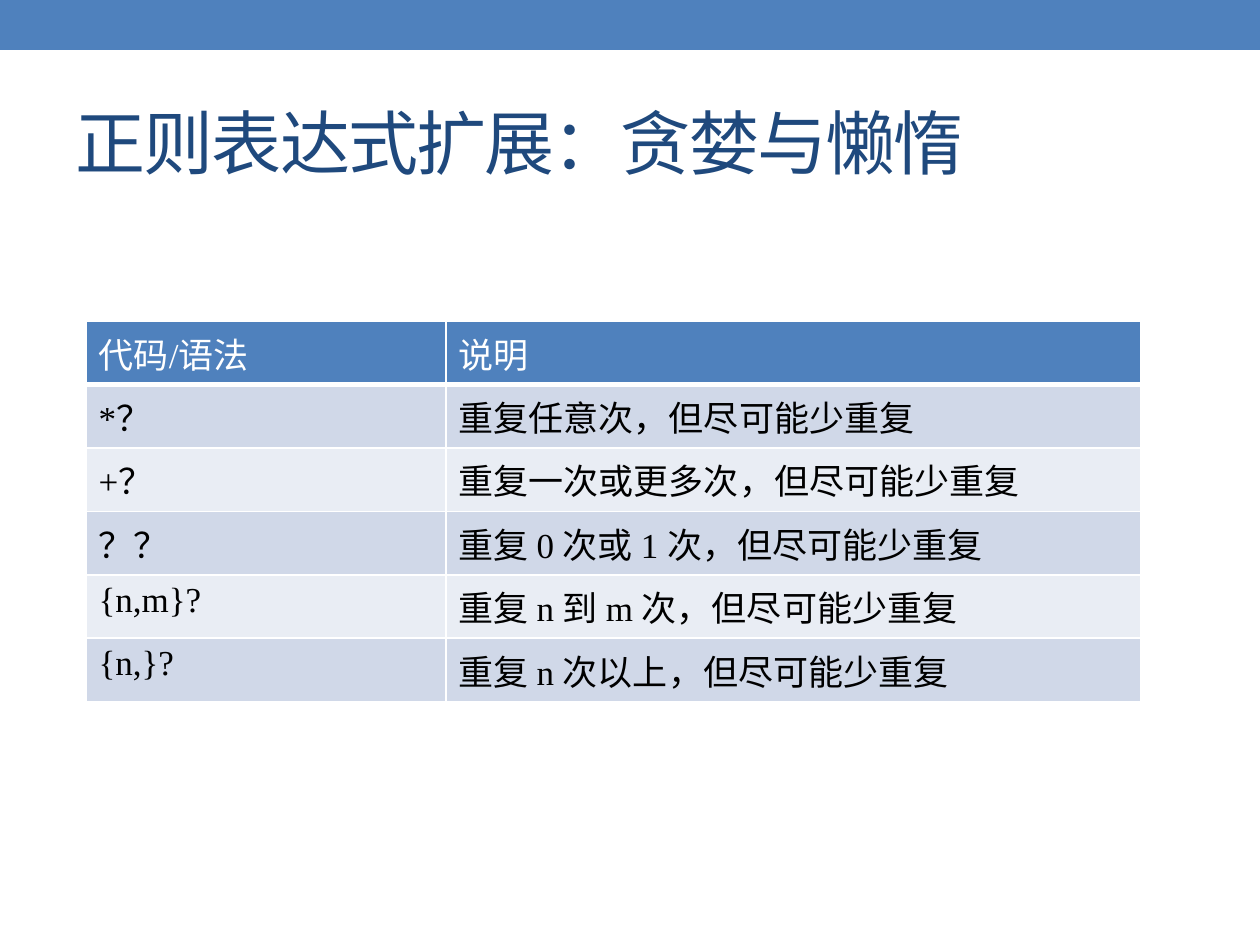
from dataclasses import dataclass
from typing import NamedTuple

from lxml.etree import SubElement
from pptx import Presentation
from pptx.dml.color import RGBColor
from pptx.enum.shapes import MSO_SHAPE
from pptx.enum.text import MSO_ANCHOR, PP_ALIGN
from pptx.oxml.ns import qn
from pptx.util import Emu, Pt


@dataclass(frozen=True)
class Theme:
    font: str = "Times New Roman"
    accent: str = "4F81BD"
    title: str = "1F497D"
    white: str = "FFFFFF"
    black: str = "000000"
    bands: tuple[str, str] = ("D0D8E8", "E9EDF4")
    title_pt: int = 40
    table_pt: int = 20
    rule_pt: int = 1
    header_rule_pt: int = 3


class Box(NamedTuple):
    left: int
    top: int
    width: int
    height: int


class Syntax(NamedTuple):
    code: str
    meaning: str


THEME = Theme()
PX_PER_INCH = 126
SLIDE = Box(0, 0, 1260, 945)
BAR = Box(0, 0, 1260, 50)
TITLE = Box(63, 73, 1134, 136)
TABLE = Box(86, 321, 1055, 378)
COLUMNS = (360, 695)

HEADER = Syntax("代码/语法", "说明")
ROWS = [
    Syntax("*？", "重复任意次，但尽可能少重复"),
    Syntax("+？", "重复一次或更多次，但尽可能少重复"),
    Syntax("？？", "重复 0 次或 1 次，但尽可能少重复"),
    Syntax("{n,m}?", "重复 n 到 m 次，但尽可能少重复"),
    Syntax("{n,}?", "重复 n 次以上，但尽可能少重复"),
]


def px(n: int) -> Emu:
    return Emu(round(n * 914400 / PX_PER_INCH))


def emu(box: Box) -> list[Emu]:
    return [px(n) for n in box]


def add_run(p, text: str, size: int, color: str):
    r = p.add_run()
    r.text = text
    r.font.name = THEME.font
    r.font.size = Pt(size)
    r.font.bold = False
    r.font.color.rgb = RGBColor.from_string(color)
    return r


def add_bar(s) -> None:
    sp = s.shapes.add_shape(MSO_SHAPE.RECTANGLE, *emu(BAR))
    sp.shadow.inherit = False
    sp.fill.solid()
    sp.fill.fore_color.rgb = RGBColor.from_string(THEME.accent)
    sp.line.fill.background()


def set_title(s, text: str) -> None:
    sp = s.shapes.title
    sp.left, sp.top, sp.width, sp.height = emu(TITLE)
    tf = sp.text_frame
    tf.vertical_anchor = MSO_ANCHOR.MIDDLE
    p = tf.paragraphs[0]
    p.alignment = PP_ALIGN.LEFT
    r = add_run(p, text, THEME.title_pt, THEME.title)
    r.font._element.set("spc", "-100")


def set_borders(cell, top: int, bottom: int) -> None:
    """Draw white rules on all four sides; call before the cell is filled."""
    tc_pr = cell._tc.get_or_add_tcPr()
    widths = {"lnL": THEME.rule_pt, "lnR": THEME.rule_pt, "lnT": top, "lnB": bottom}
    for tag, width in widths.items():
        ln = SubElement(tc_pr, qn(f"a:{tag}"), w=str(Pt(width)))
        fill = SubElement(ln, qn("a:solidFill"))
        SubElement(fill, qn("a:srgbClr"), val=THEME.white)


def add_syntax_table(s, header: Syntax, rows: list[Syntax]) -> None:
    lines = [header, *rows]
    table = s.shapes.add_table(len(lines), len(COLUMNS), *emu(TABLE)).table
    for column, width in zip(table.columns, COLUMNS):
        column.width = px(width)
    for i, line in enumerate(lines):
        table.rows[i].height = px(TABLE.height // len(lines))
        fill = THEME.bands[(i - 1) % 2] if i else THEME.accent
        color = THEME.black if i else THEME.white
        top = THEME.header_rule_pt if i == 1 else THEME.rule_pt
        bottom = THEME.rule_pt if i else THEME.header_rule_pt
        for j, text in enumerate(line):
            cell = table.cell(i, j)
            set_borders(cell, top, bottom)
            cell.fill.solid()
            cell.fill.fore_color.rgb = RGBColor.from_string(fill)
            add_run(cell.text_frame.paragraphs[0], text, THEME.table_pt, color)


def main() -> None:
    prs = Presentation()
    prs.slide_width, prs.slide_height = px(SLIDE.width), px(SLIDE.height)
    s = prs.slides.add_slide(prs.slide_layouts[5])
    add_bar(s)
    set_title(s, "正则表达式扩展：贪婪与懒惰")
    add_syntax_table(s, HEADER, ROWS)
    prs.save("out.pptx")


if __name__ == "__main__":
    main()
